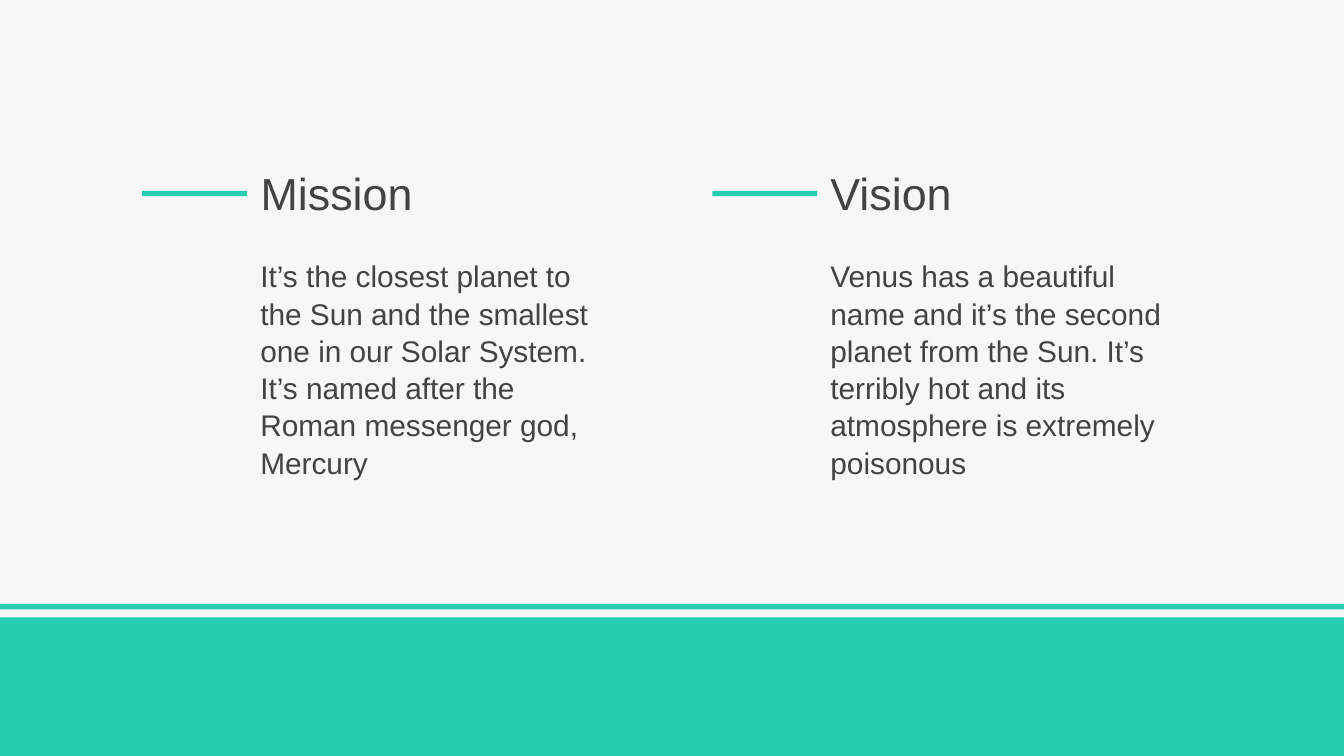
from pptx import Presentation
from pptx import util as u
from pptx.dml import color
from pptx.enum import shapes, text

COLORS = {"paper": "F7F7F7", "ink": "434343", "accent": "25CCB0"}
WIDTH, HEIGHT = 720, 405
COLUMNS = [
    ("Mission", "It’s the closest planet to the Sun and the smallest one in our Solar System. "
                "It’s named after the Roman messenger god, Mercury"),
    ("Vision", "Venus has a beautiful name and it’s the second planet from the Sun. "
               "It’s terribly hot and its atmosphere is extremely poisonous"),
]


def rgb(name):
    """Return the named palette colour."""
    return color.RGBColor.from_string(COLORS[name])


def write(box, words, size, anchor=text.MSO_ANCHOR.TOP, spacing=1.0):
    """Fill a box with one formatted, left-aligned paragraph."""
    frame = box.text_frame
    frame.word_wrap = True
    frame.auto_size = text.MSO_AUTO_SIZE.NONE
    frame.vertical_anchor = anchor
    frame.margin_left = frame.margin_right = u.Pt(7.2)
    frame.margin_top = frame.margin_bottom = u.Pt(7.2)
    para = frame.paragraphs[0]
    para.alignment = text.PP_ALIGN.LEFT
    para.line_spacing = spacing
    para.space_before = u.Pt(0)
    span = para.add_run()
    span.text = words
    span.font.name = "Arial"
    span.font.size = u.Pt(size)
    span.font.color.rgb = rgb("ink")


def add_bar(page, left, top, width, height):
    """Draw a flat accent rectangle."""
    bar = page.shapes.add_shape(
        shapes.MSO_SHAPE.RECTANGLE, u.Pt(left), u.Pt(top), u.Pt(width), u.Pt(height))
    bar.shadow.inherit = False
    bar.fill.solid()
    bar.fill.fore_color.rgb = rgb("accent")
    bar.line.fill.background()


def add_column(page, left, top, width, height, heading, body, title=None):
    """Place a heading with its dash and the body text below it."""
    dash, heading_height, body_offset = 56.2, 45.4, 51.1
    text_left, text_width = left + dash, width - dash
    title = title or page.shapes.add_textbox(0, 0, 0, 0)
    title.left, title.top = u.Pt(text_left), u.Pt(top)
    title.width, title.height = u.Pt(text_width), u.Pt(heading_height)
    write(title, heading, 24, anchor=text.MSO_ANCHOR.BOTTOM)
    box = page.shapes.add_textbox(
        u.Pt(text_left), u.Pt(top + body_offset), u.Pt(text_width), u.Pt(height - body_offset))
    write(box, body, 16, spacing=1.04)
    add_bar(page, left, top + 23.1, dash, 2.9)


def add_footer(page, left, top, width, height):
    """Draw the thin rule and the solid band at the foot of the page."""
    band_offset = 7.2
    add_bar(page, left, top + band_offset, width, height - band_offset)
    add_bar(page, left, top, width, 2.9)


def main():
    """Build and save the deck."""
    deck = Presentation()
    deck.slide_width, deck.slide_height = u.Pt(WIDTH), u.Pt(HEIGHT)
    page = deck.slides.add_slide(deck.slide_layouts[5])
    page.background.fill.solid()
    page.background.fill.fore_color.rgb = rgb("paper")
    for index, (heading, body) in enumerate(COLUMNS):
        title = page.shapes.title if index == 0 else None
        add_column(page, 76.2 + 305.4 * index, 79.2, 262.1, 205.9, heading, body, title)
    add_footer(page, 0, 323.6, WIDTH, HEIGHT - 323.6)
    deck.save("out.pptx")


if __name__ == "__main__":
    main()
